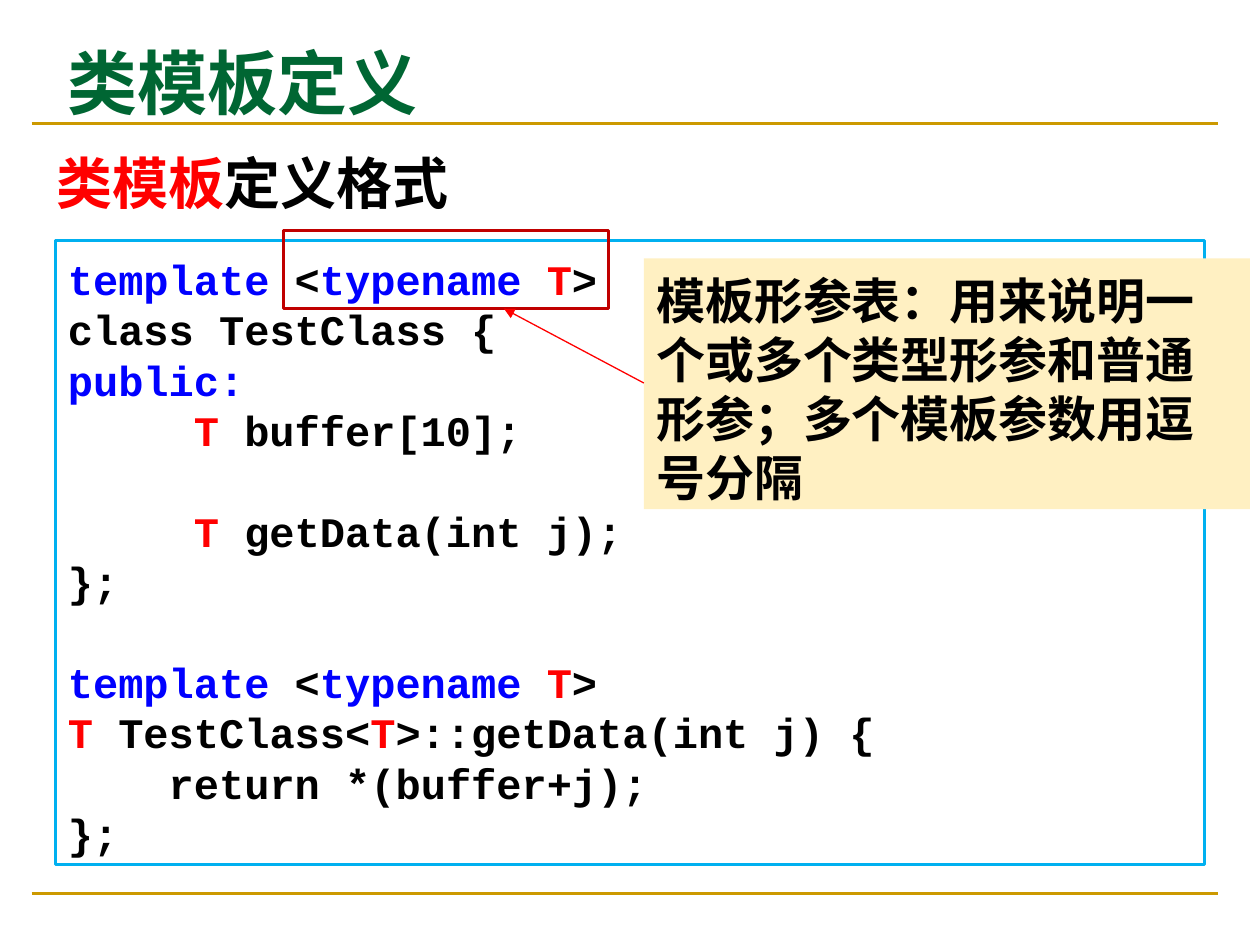
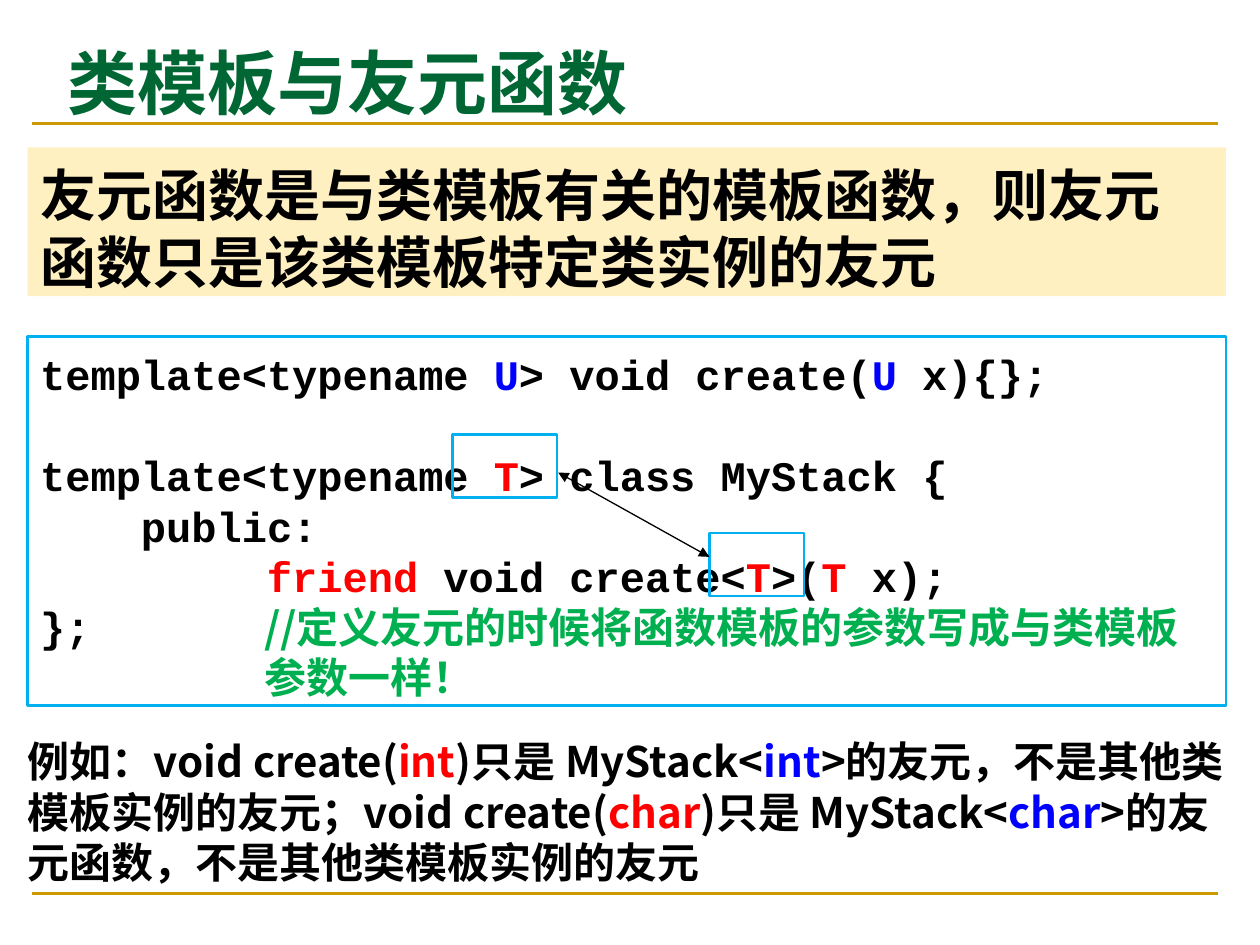
from pptx import Presentation
from pptx.dml.color import RGBColor
from pptx.enum.shapes import MSO_CONNECTOR, MSO_SHAPE
from pptx.enum.text import MSO_ANCHOR, PP_ALIGN
from pptx.oxml.ns import qn
from pptx.util import Inches, Pt
from lxml import etree

RECT = MSO_SHAPE.RECTANGLE
STRAIGHT = MSO_CONNECTOR.STRAIGHT
TOP = MSO_ANCHOR.TOP
LEFT = PP_ALIGN.LEFT

SANS = "Noto Sans CJK SC"
MONO = "Courier New"
BLACK = "000000"
RED = "FF0000"
BLUE = "0000FF"
GREEN = "00B050"
TITLE = "006633"
GOLD = "CC9900"
CREAM = "FFF0C2"
CYAN = "00B0F0"
MAROON = "C00000"
PITCH = 1.2


def color(code):
    return RGBColor.from_string(code)


def write(shape, lines, size, font=SANS, side=0.1, top=0.1):
    frame = shape.text_frame
    frame.word_wrap = True
    frame.vertical_anchor = TOP
    frame.margin_left = frame.margin_right = Inches(side)
    frame.margin_top, frame.margin_bottom = Inches(top), 0
    gap = False
    para = None
    for line in lines:
        if not line:
            gap = True
            continue
        para = frame.paragraphs[0] if para is None else frame.add_paragraph()
        para.alignment = LEFT
        para.line_spacing = Pt(size * PITCH)
        para.space_before = Pt(size * PITCH if gap else 0)
        gap = False
        for text, code in line:
            run = para.add_run()
            run.text = text
            run.font.size = Pt(size)
            run.font.bold = True
            run.font.name = font
            run.font.color.rgb = color(code)
            east = etree.SubElement(run._r.get_or_add_rPr(), qn("a:ea"))
            east.set("typeface", SANS)


def label(slide, box, lines, size, **style):
    shape = slide.shapes.add_textbox(*map(Inches, box))
    write(shape, lines, size, **style)


def panel(slide, box, fill=None, edge=None):
    shape = slide.shapes.add_shape(RECT, *map(Inches, box))
    shape.shadow.inherit = False
    if fill:
        shape.fill.solid()
        shape.fill.fore_color.rgb = color(fill)
    else:
        shape.fill.background()
    if edge:
        shape.line.color.rgb = color(edge)
        shape.line.width = Pt(1.5)
    else:
        shape.line.fill.background()
    return shape


def link(slide, start, end, code, width=0.75, tips=()):
    line = slide.shapes.add_connector(STRAIGHT, *map(Inches, start + end))
    line.line.color.rgb = color(code)
    line.line.width = Pt(width)
    for tip in tips:
        mark = etree.SubElement(line.line._get_or_add_ln(), qn("a:" + tip))
        mark.set("type", "triangle")
    etree.SubElement(line._element.spPr, qn("a:effectLst"))


def note(slide, box, text, size):
    write(panel(slide, box, fill=CREAM), [[(text, BLACK)]], size)


def code(slide, box, lines):
    write(panel(slide, box, edge=CYAN), lines, 24, font=MONO)


def base(deck, title):
    slide = deck.slides.add_slide(deck.slide_layouts[6])
    for y in (7.09, 0.98):
        link(slide, (0.25, y), (9.67, y), GOLD, width=1.5)
    label(slide, (0.44, 0.21, 6.37, 0.81), [[(title, TITLE)]], 40)
    return slide


def define(deck):
    slide = base(deck, "类模板定义")
    label(slide, (0.35, 1.08, 9.21, 0.64),
          [[("类模板", RED), ("定义格式", BLACK)]], 32)
    head = [("template", BLUE), (" <", BLACK), ("typename ", BLUE),
            ("T", RED), (">", BLACK)]
    code(slide, (0.44, 1.91, 9.12, 4.95), [
        head,
        [("class TestClass {", BLACK)],
        [("public:", BLUE)],
        [("     ", BLACK), ("T", RED), (" buffer[10];", BLACK)],
        [],
        [("     ", BLACK), ("T ", RED), ("getData(int j);", BLACK)],
        [("};", BLACK)],
        [],
        head,
        [("T ", RED), ("TestClass<", BLACK), ("T", RED),
         (">::getData(int j) {", BLACK)],
        [("    return *(buffer+j);", BLACK)],
        [("};", BLACK)],
    ])
    note(slide, (5.11, 2.05, 4.81, 1.99),
         "模板形参表：用来说明一个或多个类型形参和普通形参；多个模板参数用逗号分隔", 28)
    panel(slide, (2.25, 1.83, 2.58, 0.62), edge=MAROON)
    link(slide, (5.11, 3.04), (4, 2.45), RED, tips=("tailEnd",))


def friend(deck):
    slide = base(deck, "类模板与友元函数")
    left, wide = 0.22, 9.51
    note(slide, (left, 1.17, wide, 1.18),
         "友元函数是与类模板有关的模板函数，则友元函数只是该类模板特定类实例的友元", 32)
    code(slide, (left, 2.67, wide, 2.93), [
        [("template<typename ", BLACK), ("U", BLUE),
         ("> void create(", BLACK), ("U", BLUE), (" x){};", BLACK)],
        [],
        [("template<typename ", BLACK), ("T", RED),
         ("> class MyStack {", BLACK)],
        [("    public:", BLACK)],
        [("         ", BLACK), ("friend", RED), (" void create<", BLACK),
         ("T", RED), (">(", BLACK), ("T", RED), (" x);", BLACK)],
        [("};", BLACK)],
    ])
    label(slide, (left, 5.79, wide, 1.21), [[
        ("例如：void create(", BLACK), ("int", RED),
        (")只是 MyStack<", BLACK), ("int", BLUE),
        (">的友元，不是其他类模板实例的友元；void create(", BLACK),
        ("char", RED), (")只是 MyStack<", BLACK), ("char", BLUE),
        (">的友元函数，不是其他类模板实例的友元", BLACK),
    ]], 24, side=0, top=0.05)
    label(slide, (2, 4.67, 7.58, 0.91),
          [[("//定义友元的时候将函数模板的参数写成与类模板参数一样！", GREEN)]], 24)
    for box in ((3.59, 3.45, 0.83, 0.5), (5.63, 4.23, 0.75, 0.5)):
        panel(slide, box, edge=CYAN)
    link(slide, (4.43, 3.75), (5.63, 4.42), BLACK,
         tips=("headEnd", "tailEnd"))


def main():
    deck = Presentation()
    deck.slide_width, deck.slide_height = Inches(10), Inches(7.5)
    define(deck)
    friend(deck)
    deck.save("out.pptx")


if __name__ == "__main__":
    main()
